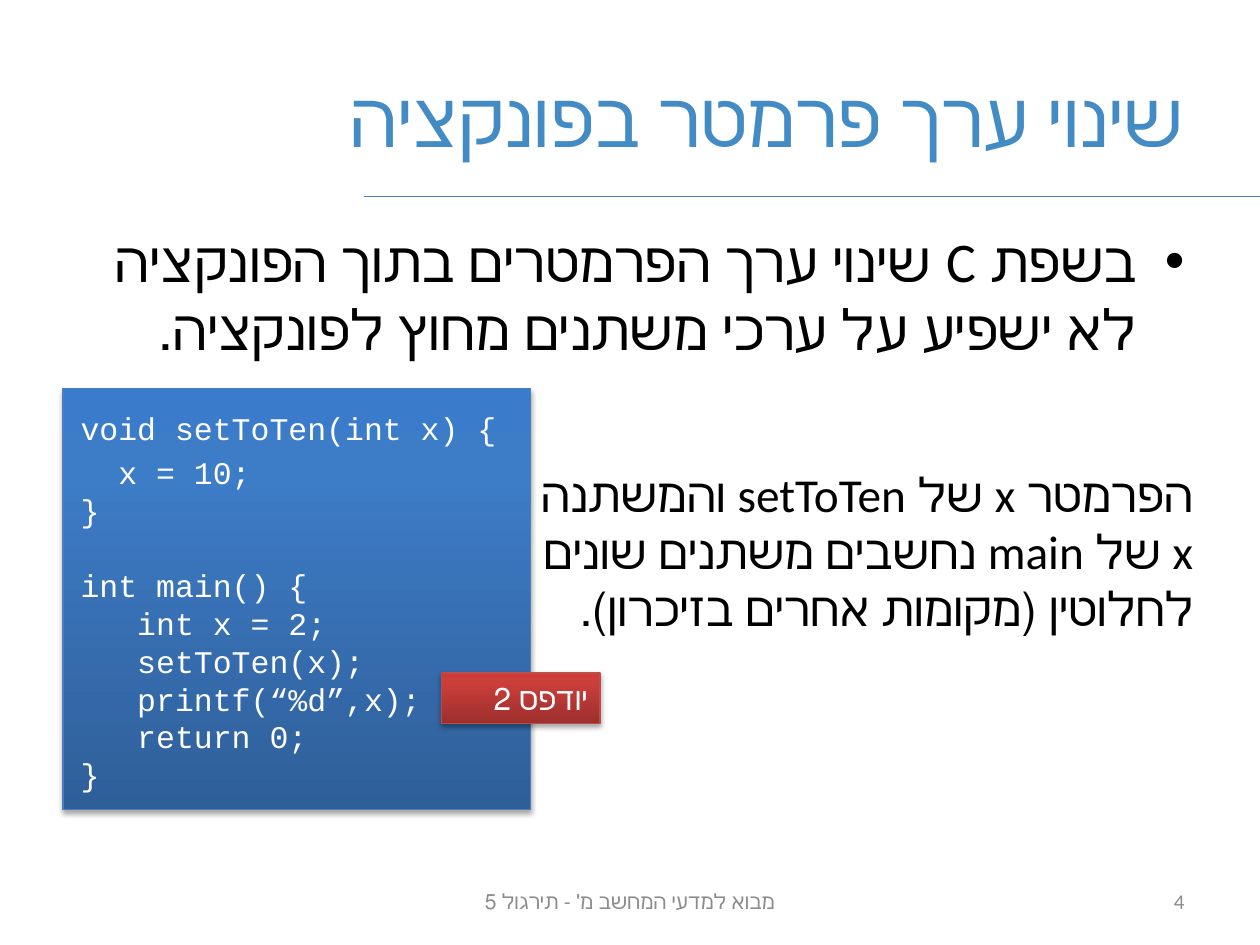
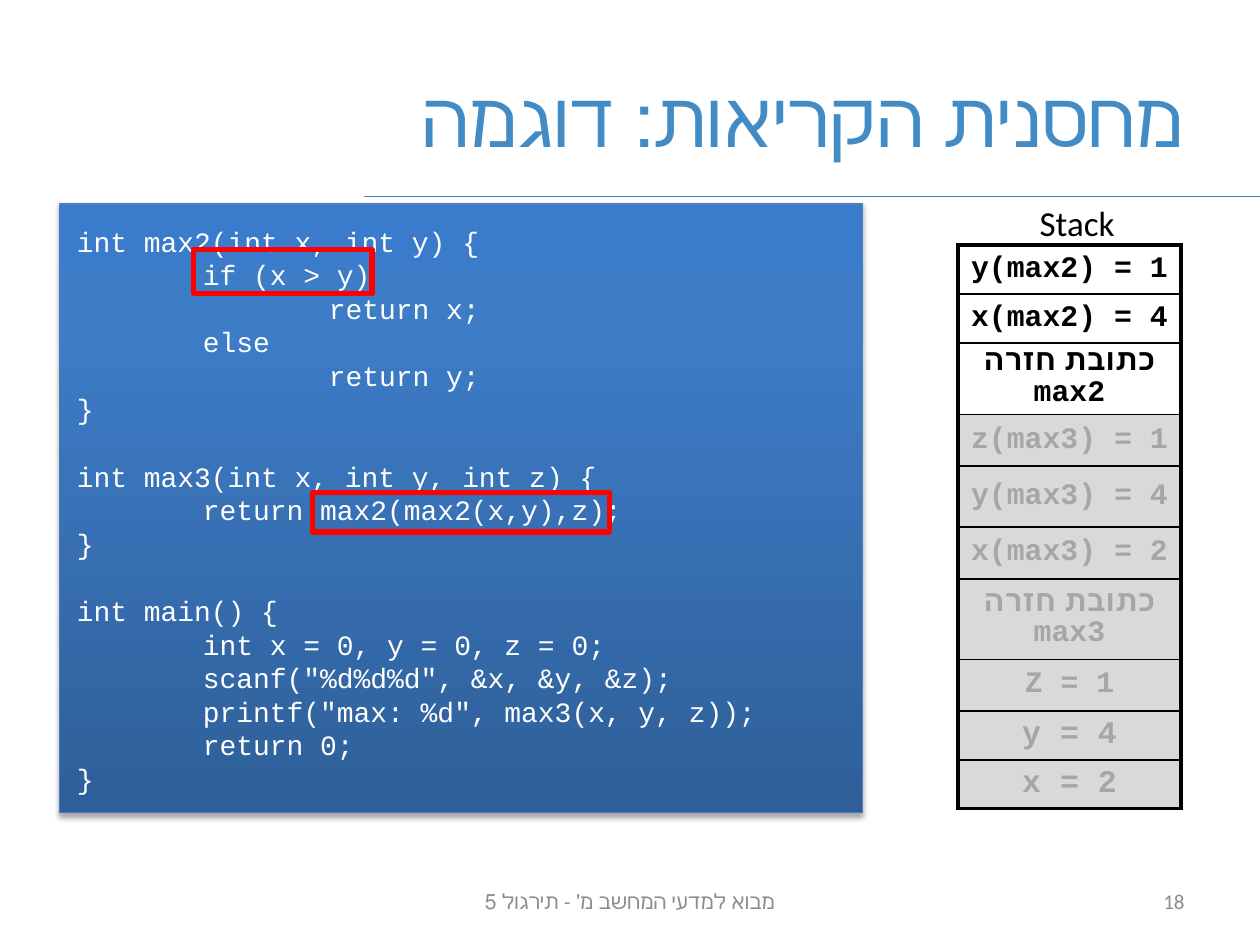
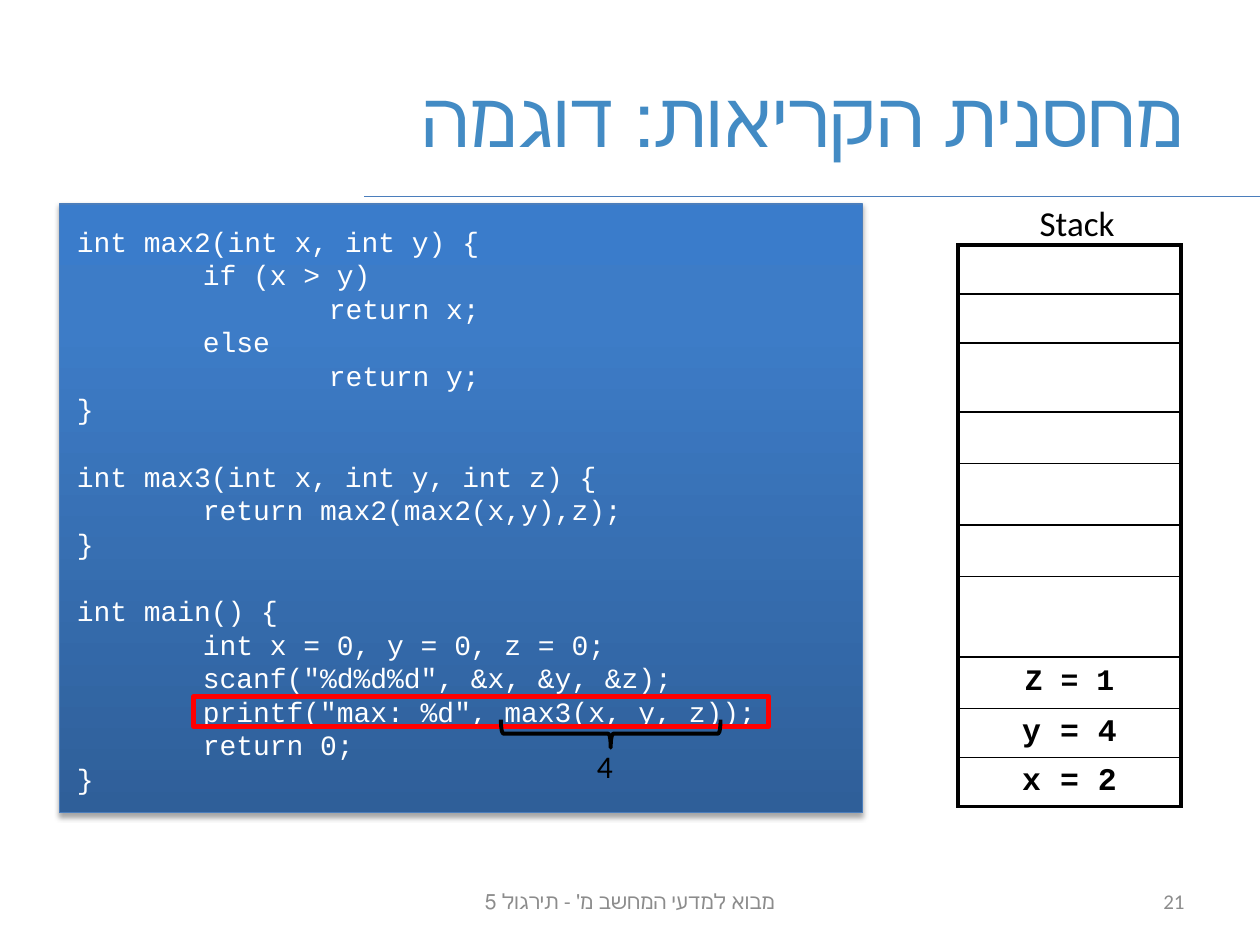
"""Build three slides on parameter passing and the call stack in C."""
from dataclasses import dataclass
from typing import Optional

from lxml.etree import SubElement
from pptx import Presentation
from pptx.dml.color import RGBColor
from pptx.enum.shapes import MSO_CONNECTOR as Connector, MSO_SHAPE as Preset
from pptx.enum.text import MSO_ANCHOR as Anchor, MSO_AUTO_SIZE as AutoSize, PP_ALIGN as Align
from pptx.oxml.ns import qn
from pptx.util import Pt

TITLE_BLUE = RGBColor(0x43, 0x8B, 0xC4)
RULE_BLUE = RGBColor(0x4B, 0x7E, 0xBC)
LABEL_RED = RGBColor(0xBF, 0x4C, 0x48)
MARK_RED = RGBColor(0xFF, 0x00, 0x00)
FOOTER_GRAY = RGBColor(0x8C, 0x8C, 0x8C)
FADED_TEXT = RGBColor(0xA6, 0xA6, 0xA6)
FADED_FILL = RGBColor(0xD9, 0xD9, 0xD9)
BLACK = RGBColor(0x00, 0x00, 0x00)
WHITE = RGBColor(0xFF, 0xFF, 0xFF)
BLUE_STOPS = {0: RGBColor(0x2F, 0x5F, 0x99), 80: RGBColor(0x3D, 0x7C, 0xC7), 100: RGBColor(0x3A, 0x7C, 0xCB)}
RED_STOPS = {0: RGBColor(0x9C, 0x2F, 0x2D), 80: RGBColor(0xCB, 0x3E, 0x3A), 100: RGBColor(0xCE, 0x3B, 0x37)}

FOOTER = "מבוא למדעי המחשב מ' - תירגול 5"
STACK_TITLE = "מחסנית הקריאות: דוגמה"
SET_TO_TEN_CODE = """void setToTen(int x) {
  x = 10;
}

int main() {
   int x = 2;
   setToTen(x);
   printf(“%d”,x);
   return 0;
}"""
MAX_CODE = """int max2(int x, int y) {
\tif (x > y)
\t\treturn x;
\telse
\t\treturn y;
}

int max3(int x, int y, int z) {
\treturn max2(max2(x,y),z);
}

int main() {
\tint x = 0, y = 0, z = 0;
\tscanf("%d%d%d", &x, &y, &z);
\tprintf("max: %d", max3(x, y, z));
\treturn 0;
}"""
STACK_ROWS = (28, 28, 39.5, 29.5, 35, 29.5, 46, 29.5, 28, 28)
MAIN_FRAME = ["Z = 1", "y = 4", "x = 2"]
MAX3_FRAME = ["z(max3) = 1", "y(max3) = 4", "x(max3) = 2", "כתובת חזרה max3"]
MAX2_FRAME = ["y(max2) = 1", "x(max2) = 4", "כתובת חזרה max2"]


@dataclass(frozen=True)
class Box:
    left: float
    top: float
    width: float
    height: float

    def lengths(self) -> tuple:
        return Pt(self.left), Pt(self.top), Pt(self.width), Pt(self.height)


@dataclass(frozen=True)
class Style:
    size: float
    color: RGBColor
    font: str = "Calibri"
    align: Align = Align.LEFT
    rtl: bool = False
    bold: bool = False
    complex_font: Optional[str] = None


@dataclass(frozen=True)
class Panel:
    stops: dict
    line: RGBColor


TITLE_BOX = Box(36, 21.6, 648, 90)
BODY_BOX = Box(36, 126, 648, 87)
FOOTER_BOX = Box(246, 500.5, 228, 28.75)
NUMBER_BOX = Box(516, 500.5, 168, 28.75)
MAX_CODE_BOX = Box(34, 116.5, 459, 348)

TITLE = Style(44, TITLE_BLUE, "Arial", Align.RIGHT, True)
BODY = Style(32, BLACK, align=Align.RIGHT, rtl=True)
NOTE = Style(27, BLACK, align=Align.RIGHT, rtl=True)
FOOTER_STYLE = Style(12, FOOTER_GRAY, align=Align.CENTER, rtl=True)
NUMBER_STYLE = Style(12, FOOTER_GRAY, align=Align.RIGHT, rtl=True, complex_font="Calibri")
BLUE_PANEL = Panel(BLUE_STOPS, RULE_BLUE)
RED_PANEL = Panel(RED_STOPS, LABEL_RED)


def format_para(para, style: Style, space_before: float = 0) -> None:
    para.alignment = style.align
    para.space_before = Pt(space_before)
    if style.rtl:
        para._p.get_or_add_pPr().set("rtl", "1")
    for span in para.runs:
        span.font.size = Pt(style.size)
        span.font.name = style.font
        span.font.bold = style.bold
        span.font.color.rgb = style.color
        if style.complex_font:
            SubElement(span._r.get_or_add_rPr(), qn("a:cs"), typeface=style.complex_font)


def fill_placeholder(holder, box: Box, text: str, style: Style, anchor: Anchor) -> None:
    holder.left, holder.top, holder.width, holder.height = box.lengths()
    frame = holder.text_frame
    frame.text = text
    frame.auto_size = AutoSize.NONE
    frame.vertical_anchor = anchor
    format_para(frame.paragraphs[0], style)


def add_text(slide, box: Box, text: str, style: Style, anchor: Anchor = Anchor.TOP, wrap: bool = True) -> None:
    frame = slide.shapes.add_textbox(*box.lengths()).text_frame
    frame.text = text
    frame.word_wrap = wrap
    frame.vertical_anchor = anchor
    format_para(frame.paragraphs[0], style)


def start_slide(deck, layout: int, title: str, number: int):
    slide = deck.slides.add_slide(deck.slide_layouts[layout])
    rule = slide.shapes.add_connector(Connector.STRAIGHT, Pt(720), Pt(112.5), Pt(208), Pt(112.5))
    rule.line.color.rgb = RULE_BLUE
    rule.line.width = Pt(0.75)
    SubElement(rule._element.spPr, qn("a:effectLst"))
    fill_placeholder(slide.shapes.title, TITLE_BOX, title, TITLE, Anchor.MIDDLE)
    add_text(slide, FOOTER_BOX, FOOTER, FOOTER_STYLE, Anchor.MIDDLE)
    add_text(slide, NUMBER_BOX, str(number), NUMBER_STYLE, Anchor.MIDDLE)
    return slide


def add_panel(slide, box: Box, panel: Panel):
    shape = slide.shapes.add_shape(Preset.RECTANGLE, *box.lengths())
    shape.line.color.rgb = panel.line
    shape.line.width = Pt(0.75)
    shape.fill.gradient()
    shape.fill.gradient_angle = 90
    properties = shape._element.spPr
    stop_list = properties.find(qn("a:gradFill")).find(qn("a:gsLst"))
    for stop in list(stop_list):
        stop_list.remove(stop)
    for percent, color in panel.stops.items():
        stop = SubElement(stop_list, qn("a:gs"), pos=str(percent * 1000))
        SubElement(stop, qn("a:srgbClr"), val=str(color))
    shape.shadow.inherit = False
    shadow = SubElement(properties.find(qn("a:effectLst")), qn("a:outerShdw"), blurRad=str(Pt(3.1)),
                        dist=str(Pt(1.8)), dir="5400000", rotWithShape="0")
    black = SubElement(shadow, qn("a:srgbClr"), val=str(BLACK))
    SubElement(black, qn("a:alpha"), val="35000")
    shape.text_frame.word_wrap = True
    shape.text_frame.vertical_anchor = Anchor.TOP
    return shape


def add_code(slide, box: Box, code: str, size: float):
    frame = add_panel(slide, box, BLUE_PANEL).text_frame
    frame.margin_left = frame.margin_right = Pt(10)
    frame.margin_top, frame.margin_bottom = Pt(11.5), Pt(6.5)
    lines = code.split("\n")
    frame.text = "\n".join(line for line in lines if line)
    gaps = [size * 1.2 if not before else 0 for before, line in zip(["{"] + lines, lines) if line]
    for para, gap in zip(frame.paragraphs, gaps):
        para._p.get_or_add_pPr().set("defTabSz", str(Pt(72)))
        format_para(para, Style(size, WHITE, "Courier New"), gap)
    return frame


def add_outline(slide, preset: Preset, box: Box, color: RGBColor, width: float, rotation: float = 0) -> None:
    shape = slide.shapes.add_shape(preset, *box.lengths())
    shape.shadow.inherit = False
    shape.fill.background()
    shape.line.color.rgb = color
    shape.line.width = Pt(width)
    shape.rotation = rotation


def set_border(cell, side: str, width: float) -> None:
    line = SubElement(cell._tc.get_or_add_tcPr(), qn(f"a:ln{side}"), w=str(Pt(width)))
    fill = SubElement(line, qn("a:solidFill"))
    SubElement(fill, qn("a:srgbClr"), val=str(BLACK))


def add_stack(slide, entries: list, faded_from: Optional[int] = None) -> None:
    add_text(slide, Box(587, 111.5, 65, 31), "Stack", Style(20, BLACK), wrap=False)
    count = len(STACK_ROWS)
    table = slide.shapes.add_table(count, 1, Pt(547.4), Pt(140), Pt(127.5), Pt(sum(STACK_ROWS))).table
    table.first_row = table.horz_banding = False
    entries = [""] * (count - len(entries)) + entries
    for index, (height, entry) in enumerate(zip(STACK_ROWS, entries)):
        table.rows[index].height = Pt(height)
        cell = table.cell(index, 0)
        cell.margin_left = cell.margin_right = cell.margin_top = cell.margin_bottom = 0
        cell.vertical_anchor = Anchor.MIDDLE
        widths = {"L": 2.25, "R": 2.25, "T": 1 if index else 2.25, "B": 1 if index < count - 1 else 2.25}
        for side, width in widths.items():
            set_border(cell, side, width)
        faded = faded_from is not None and index >= faded_from
        if faded:
            cell.fill.solid()
            cell.fill.fore_color.rgb = FADED_FILL
        else:
            cell.fill.background()
        cell.text_frame.text = entry
        size = 18 if index >= count - 2 else 17
        color = FADED_TEXT if faded else BLACK
        format_para(cell.text_frame.paragraphs[0], Style(size, color, "Courier New", Align.CENTER, bold=True))


def build_parameter_slide(deck) -> None:
    slide = start_slide(deck, 1, "שינוי ערך פרמטר בפונקציה", 4)
    code = add_code(slide, Box(36, 222, 267, 240.5), SET_TO_TEN_CODE, 18)
    code.paragraphs[1].space_before = Pt(3.6)
    label = add_panel(slide, Box(252.4, 384.5, 90.6, 29), RED_PANEL)
    label.text_frame.text = "יודפס 2"
    format_para(label.text_frame.paragraphs[0], Style(18, WHITE, "Courier New", Align.RIGHT))
    text = "בשפת C שינוי ערך הפרמטרים בתוך הפונקציה לא ישפיע על ערכי משתנים מחוץ לפונקציה."
    fill_placeholder(slide.placeholders[1], BODY_BOX, text, BODY, Anchor.TOP)
    note = "הפרמטר x של setToTen והמשתנה x של main נחשבים משתנים שונים לחלוטין (מקומות אחרים בזיכרון)."
    add_text(slide, Box(292.3, 262.5, 396.5, 113), note, NOTE)


def build_call_slide(deck) -> None:
    slide = start_slide(deck, 5, STACK_TITLE, 18)
    add_code(slide, MAX_CODE_BOX, MAX_CODE, 16)
    add_stack(slide, MAX2_FRAME + MAX3_FRAME + MAIN_FRAME, len(MAX2_FRAME))
    for mark in (Box(178.5, 281.5, 170, 22.5), Box(110.7, 142.7, 102, 25)):
        add_outline(slide, Preset.RECTANGLE, mark, MARK_RED, 3)


def build_return_slide(deck) -> None:
    slide = start_slide(deck, 5, STACK_TITLE, 21)
    add_code(slide, MAX_CODE_BOX, MAX_CODE, 16)
    add_stack(slide, MAIN_FRAME)
    add_outline(slide, Preset.RECTANGLE, Box(110.7, 398, 328.5, 17), MARK_RED, 3)
    add_outline(slide, Preset.LEFT_BRACE, Box(341, 356.5, 16, 125.5), BLACK, 2.25, 270)
    add_text(slide, Box(334, 423.5, 52, 29), "4", Style(18, BLACK))


def main() -> None:
    deck = Presentation()
    deck.slide_width, deck.slide_height = Pt(720), Pt(540)
    build_parameter_slide(deck)
    build_call_slide(deck)
    build_return_slide(deck)
    deck.save("out.pptx")


if __name__ == "__main__":
    main()
